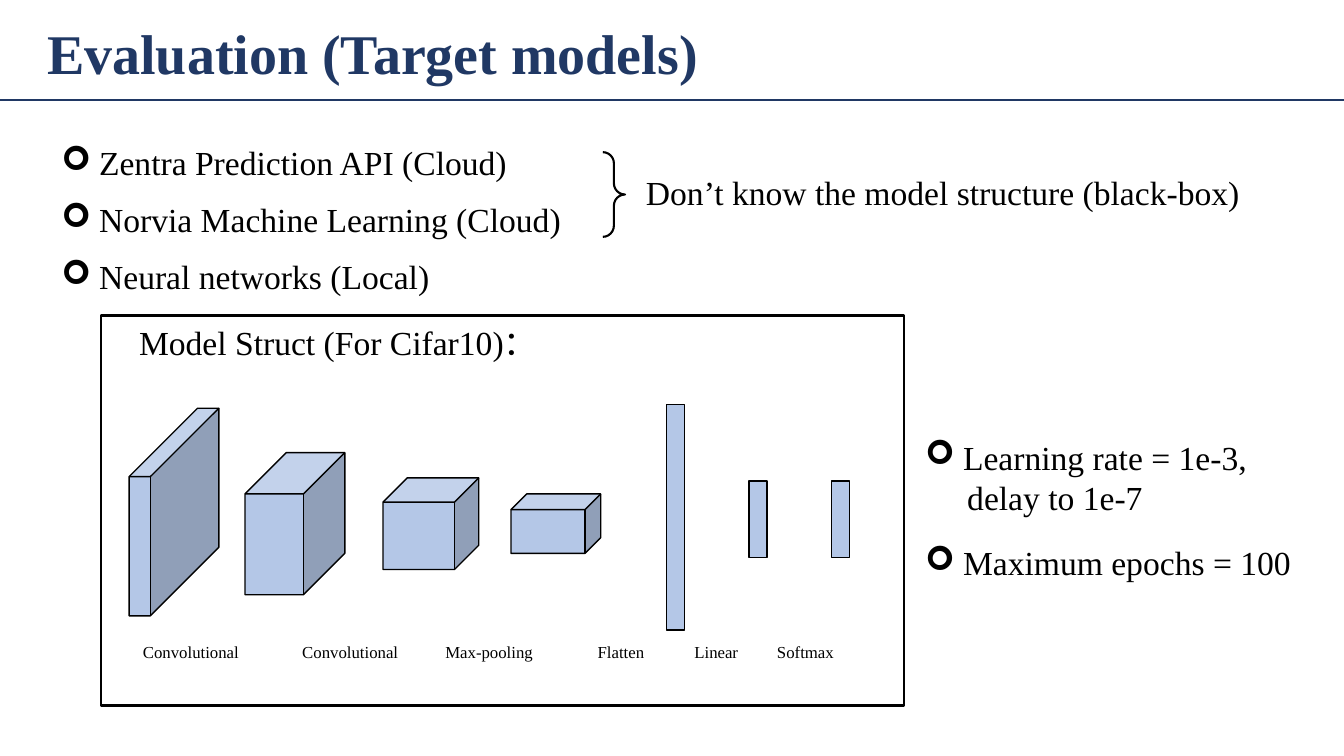
from lxml import etree
from pptx import Presentation
from pptx.dml.color import RGBColor
from pptx.enum.shapes import MSO_CONNECTOR, MSO_SHAPE
from pptx.enum.text import MSO_AUTO_SIZE
from pptx.oxml.ns import qn
from pptx.util import Pt

CUBE, RECT, BRACE = MSO_SHAPE.CUBE, MSO_SHAPE.RECTANGLE, MSO_SHAPE.RIGHT_BRACE
STRAIGHT = MSO_CONNECTOR.STRAIGHT
GROW = MSO_AUTO_SIZE.SHAPE_TO_FIT_TEXT
COLORS = {"navy": "203864", "black": "000000", "layer": "B4C7E7"}
FONT = "Times New Roman"
BULLET_INDENT = 27

# kind, left and top inside the panel, width, height, cube depth
LAYERS = [
    (CUBE, 20.2, 66.2, 64.1, 148.3, 0.763),
    (CUBE, 103, 97.9, 71.3, 101.5, 0.414),
    (CUBE, 201.6, 115.9, 68.4, 65.5, 0.265),
    (CUBE, 293, 127.4, 64.1, 42.5, 0.265),
    (RECT, 403.9, 63.4, 13, 161.3, None),
    (RECT, 463, 118.1, 13, 54.7, None),
    (RECT, 522, 118.1, 13, 54.7, None),
]
# caption, left inside the panel, width
CAPTIONS = [
    ("Convolutional", 23, 92.9),
    ("Convolutional", 136.8, 92.9),
    ("Max-pooling", 239, 92.9),
    ("Flatten", 347.8, 65.5),
    ("Linear", 416.9, 46.8),
    ("Softmax", 475.9, 59),
]


def rgb(name):
    return RGBColor.from_string(COLORS[name])


def add_text(slide, box, lines, size=24, color="black", bold=False):
    """Write one paragraph per line and return the paragraphs."""
    tf = slide.shapes.add_textbox(*map(Pt, box)).text_frame
    tf.word_wrap = True
    tf.auto_size = GROW
    for i, line in enumerate(lines):
        p = tf.paragraphs[0] if i == 0 else tf.add_paragraph()
        r = p.add_run()
        r.text = line
        r.font.color.rgb = rgb(color)
        for name, value in {"name": FONT, "size": Pt(size), "bold": bold}.items():
            setattr(r.font, name, value)
    return tf.paragraphs


def add_bullet(p):
    pPr = p._p.get_or_add_pPr()
    pPr.set("marL", str(Pt(BULLET_INDENT)))
    pPr.set("indent", str(-Pt(BULLET_INDENT)))
    etree.SubElement(pPr, qn("a:buFont"), typeface="Wingdings")
    etree.SubElement(pPr, qn("a:buChar"), char="➢")


def add_figure(slide, kind, box, fill=None, width=1.5, adjustments=()):
    sp = slide.shapes.add_shape(kind, *map(Pt, box))
    sp.shadow.inherit = False
    if fill:
        sp.fill.solid()
        sp.fill.fore_color.rgb = rgb(fill)
    else:
        sp.fill.background()
    sp.line.color.rgb = rgb("black")
    sp.line.width = Pt(width)
    for i, value in enumerate(adjustments):
        sp.adjustments[i] = value


def add_header(slide, x, y, w, h):
    add_text(slide, (x + 26.6, y + 9.4, w - 78, 55.4),
             ["Evaluation (Target models)"], 40, "navy", True)
    rule = slide.shapes.add_connector(STRAIGHT, Pt(x), Pt(y + h), Pt(x + w), Pt(y + h))
    rule.line.color.rgb = rgb("navy")
    rule.line.width = Pt(1.5)
    etree.SubElement(rule._element.spPr, qn("a:effectLst"))


def add_targets(slide, x, y, w, h):
    """List the target models, with a brace around the two cloud ones."""
    targets = ["Zentra Prediction API (Cloud)", "Norvia Machine Learning (Cloud)",
               "Neural networks (Local)"]
    for p in add_text(slide, (x, y, 386.6, h), targets):
        p.space_after = Pt(12)
        add_bullet(p)
    add_figure(slide, BRACE, (x + 393.9, y + 10.8, 15.8, 60.5), adjustments=(0.508, 0.5))
    add_text(slide, (x + 417.6, y + 21.6, w - 417.6, 36),
             ["Don’t know the model structure (black-box)"])


def add_model_panel(slide, x, y, w, h):
    add_text(slide, (x + 20.2, y + 0.7, 327.6, 36), ["Model Struct (For Cifar10)："])
    for kind, left, top, width, height, depth in LAYERS:
        add_figure(slide, kind, (x + left, y + top, width, height), "layer", 1,
                   [depth] if depth else [])
    for caption, left, width in CAPTIONS:
        add_text(slide, (x + left, y + 229.7, width, 21.6), [caption], 12)
    add_figure(slide, RECT, (x, y, w, h))


def add_training(slide, *box):
    rate, decay, epochs = add_text(
        slide, box, ["Learning rate = 1e-3,", "delay to 1e-7", "Maximum epochs = 100"])
    decay._p.get_or_add_pPr().set("marL", str(Pt(30)))
    epochs.space_before = Pt(18)
    for p in (rate, epochs):
        add_bullet(p)


def main():
    prs = Presentation()
    prs.slide_width, prs.slide_height = Pt(960), Pt(540)
    slide = prs.slides.add_slide(prs.slide_layouts[6])
    add_header(slide, 0, 0, 960, 71.3)
    add_targets(slide, 36.7, 97.9, 861.1, 118.8)
    add_model_panel(slide, 72, 225.4, 573.8, 278.6)
    add_training(slide, 653.8, 308.2, 300.2, 113)
    prs.save("out.pptx")


if __name__ == "__main__":
    main()
